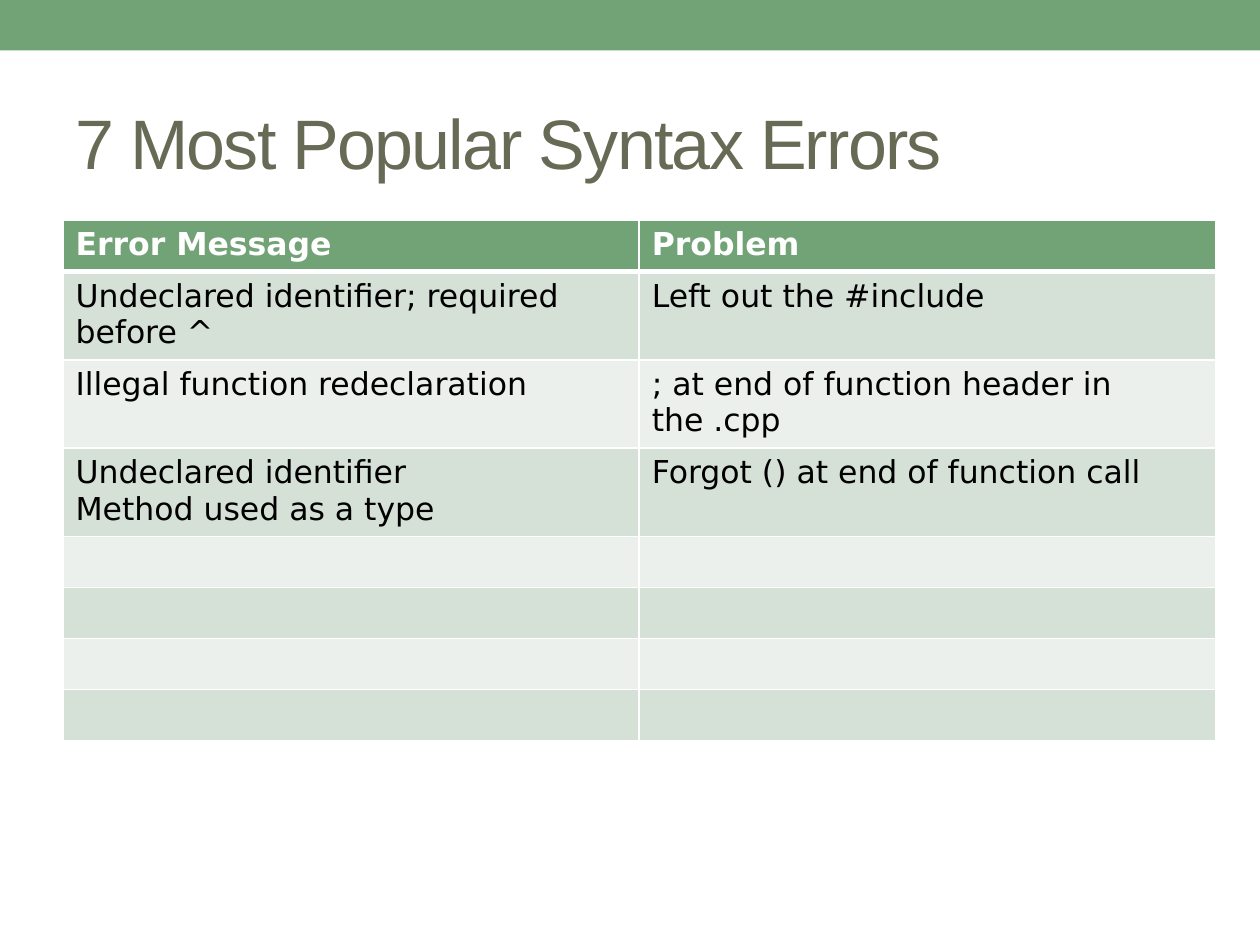
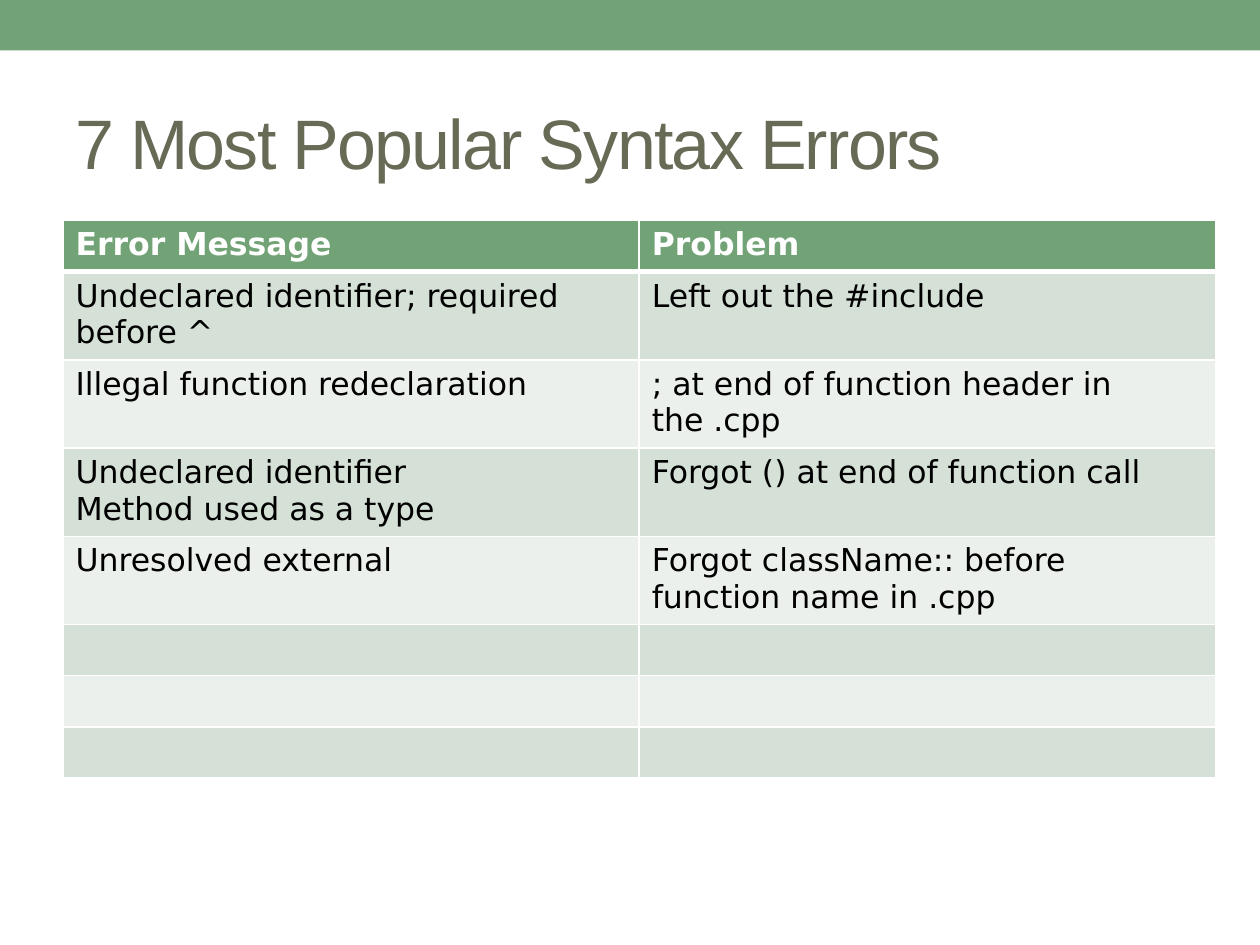
from pptx import Presentation
from pptx.dml.color import RGBColor
from pptx.enum.shapes import MSO_SHAPE
from pptx.enum.text import MSO_ANCHOR
from pptx.oxml.ns import qn
from pptx.util import Pt
from lxml.etree import SubElement

GREEN, OLIVE, WHITE, BLACK = "72A376", "676A55", "FFFFFF", "000000"
BANDS = ("D5E0D6", "EBF0EC")
TITLE_FONT, TABLE_FONT = "Arial", "DejaVu Sans"
SLIDE_WIDTH, SLIDE_HEIGHT = 720, 540
BAND_BOX = (0, 0, SLIDE_WIDTH, 28.8)
TITLE_BOX = (36, 42, 648, 78)
TABLE_BOX = (36, 126, 658.5, 233.6)
TITLE = "7 Most Popular Syntax Errors"
HEADINGS = ("Error Message", "Problem")
ERROR_ROWS = 7
ERRORS = [
    ("Undeclared identifier; required before ^", "Left out the #include"),
    ("Illegal function redeclaration", "; at end of function header in the .cpp"),
    ("Undeclared identifier\nMethod used as a type", "Forgot () at end of function call"),
    ("Unresolved external", "Forgot className:: before function name in .cpp"),
]


def color(value):
    """Turn a hex string into a colour."""
    return RGBColor.from_string(value)


def style_font(font, name, size, value, bold=False):
    """Set the face, size, colour and weight of a font."""
    font.name, font.size, font.bold = name, Pt(size), bold
    font.color.rgb = color(value)


def add_band(slide, box):
    """Draw the plain band across the top."""
    band = slide.shapes.add_shape(MSO_SHAPE.RECTANGLE, *map(Pt, box))
    band.shadow.inherit = False
    band.fill.solid()
    band.fill.fore_color.rgb = color(GREEN)
    band.line.fill.background()


def add_title(slide, box, text):
    """Write the tightly spaced title, centred vertically in its box."""
    frame = slide.shapes.add_textbox(*map(Pt, box)).text_frame
    frame.word_wrap = True
    frame.vertical_anchor = MSO_ANCHOR.MIDDLE
    paragraph = frame.paragraphs[0]
    run = paragraph.add_run()
    run.text = text
    style_font(paragraph.font, TITLE_FONT, 40, OLIVE)
    run._r.get_or_add_rPr().set("spc", "-100")


def add_borders(cell, top, bottom):
    """Give a cell white borders, with its own top and bottom widths."""
    properties = cell._tc.get_or_add_tcPr()
    for side, width in (("L", 1), ("R", 1), ("T", top), ("B", bottom)):
        line = SubElement(properties, qn(f"a:ln{side}"), w=str(Pt(width)))
        fill = SubElement(line, qn("a:solidFill"))
        SubElement(fill, qn("a:srgbClr"), val=WHITE)


def fill_cell(cell, text, row):
    """Write one cell and style it by its row."""
    header = row == 0
    add_borders(cell, 3 if row == 1 else 1, 3 if header else 1)
    cell.fill.solid()
    cell.fill.fore_color.rgb = color(GREEN if header else BANDS[(row - 1) % 2])
    cell.text = text
    for paragraph in cell.text_frame.paragraphs:
        style_font(paragraph.font, TABLE_FONT, 18, WHITE if header else BLACK, header)


def add_error_table(slide, box, errors):
    """Build the table of errors, with blank rows for those still to come."""
    blank_rows = [("", "")] * (ERROR_ROWS - len(errors))
    rows = [HEADINGS, *errors, *blank_rows]
    table = slide.shapes.add_table(len(rows), len(HEADINGS), *map(Pt, box)).table
    for table_row in table.rows:
        table_row.height = Pt(box[3] / len(rows))
    for row, texts in enumerate(rows):
        for column, text in enumerate(texts):
            fill_cell(table.cell(row, column), text, row)


def add_error_slide(presentation, errors):
    """Add a slide that shows the given errors."""
    slide = presentation.slides.add_slide(presentation.slide_layouts[6])
    add_band(slide, BAND_BOX)
    add_title(slide, TITLE_BOX, TITLE)
    add_error_table(slide, TABLE_BOX, errors)


presentation = Presentation()
presentation.slide_width, presentation.slide_height = Pt(SLIDE_WIDTH), Pt(SLIDE_HEIGHT)
for shown in (3, 4):
    add_error_slide(presentation, ERRORS[:shown])
presentation.save("out.pptx")
